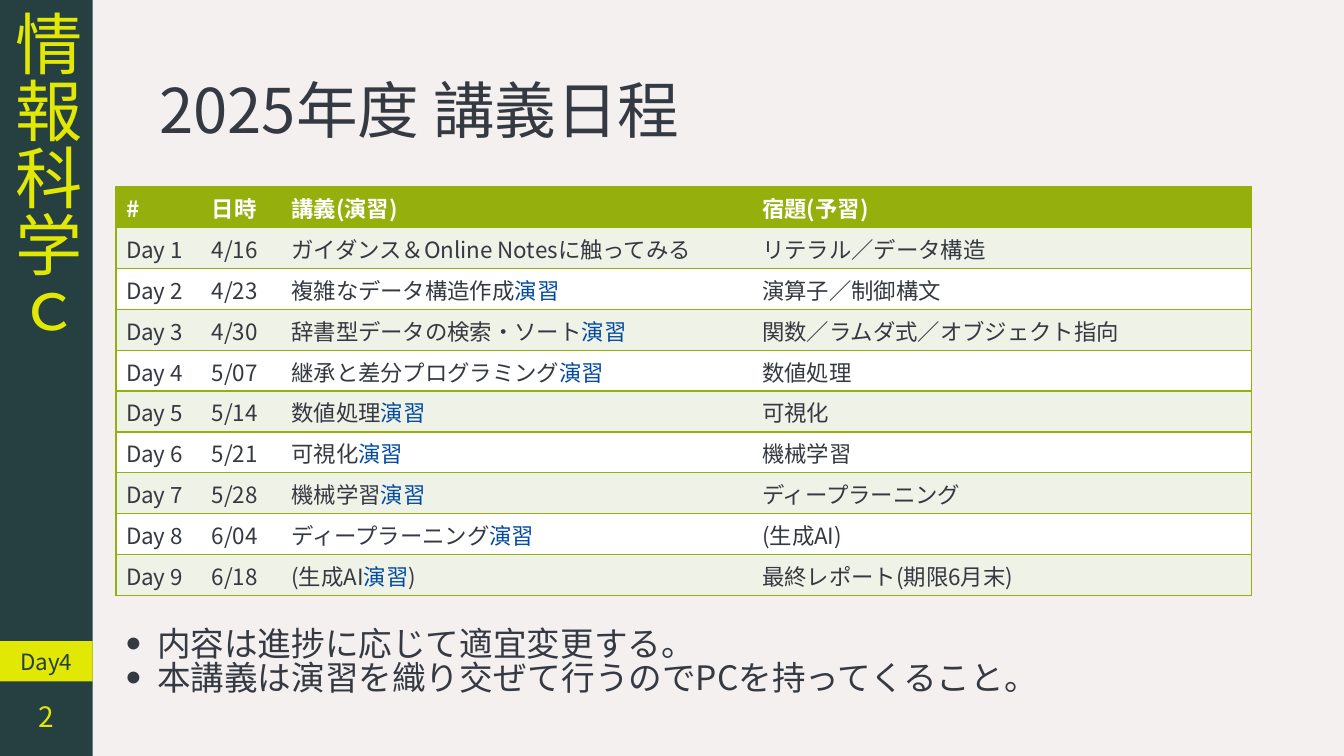
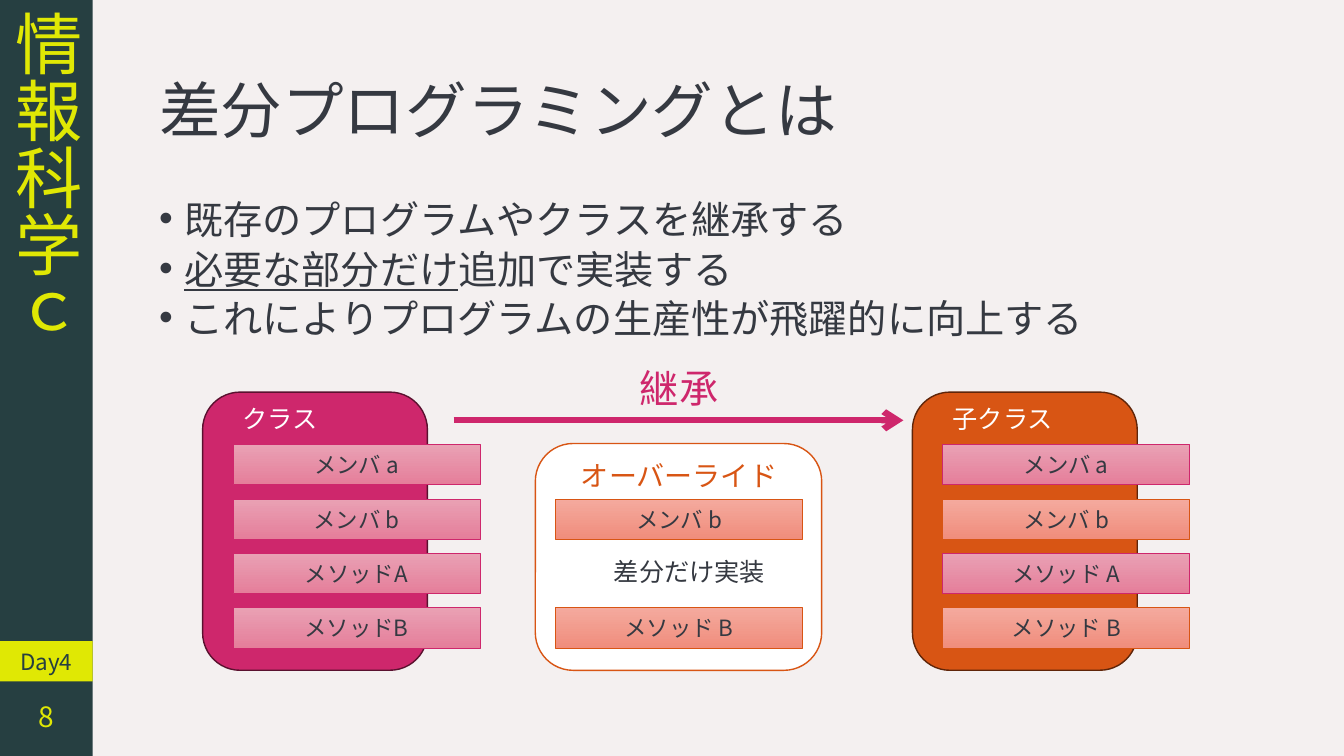
from pptx import Presentation
from pptx.dml.color import RGBColor
from pptx.enum import shapes, text
from pptx.oxml import ns, xmlchemy
from pptx.util import Inches, Pt

FONT = "Noto Sans CJK JP"
PAPER = RGBColor(0xF4, 0xF0, 0xF0)
INK = RGBColor(0x35, 0x39, 0x41)
WHITE = RGBColor(0xFF, 0xFF, 0xFF)
DEEP_GREEN = RGBColor(0x26, 0x3F, 0x41)
LIME = RGBColor(0xE0, 0xE8, 0x04)
LEAF = RGBColor(0x95, 0xB0, 0x0D)
PALE_LEAF = RGBColor(0xEF, 0xF2, 0xE7)
BLUE = RGBColor(0x03, 0x4A, 0xA1)
PINK = RGBColor(0xCE, 0x27, 0x6C)
DARK_PINK = RGBColor(0x5A, 0x11, 0x2F)
ORANGE = RGBColor(0xD8, 0x55, 0x14)
DARK_ORANGE = RGBColor(0x5F, 0x25, 0x09)
PINK_FADE = (RGBColor(0xE9, 0xA1, 0xB4), RGBColor(0xE5, 0x7E, 0x9A))
ORANGE_FADE = (RGBColor(0xF4, 0xAA, 0x9E), RGBColor(0xF0, 0x8D, 0x7C))

LEFT, CENTER = text.PP_ALIGN.LEFT, text.PP_ALIGN.CENTER
TOP, MIDDLE = text.MSO_ANCHOR.TOP, text.MSO_ANCHOR.MIDDLE
RECT, ROUND = shapes.MSO_SHAPE.RECTANGLE, shapes.MSO_SHAPE.ROUNDED_RECTANGLE
NO_STYLE = "{2D5ABB26-0587-4C30-8999-92F81FD0307C}"

COLUMN_WIDTHS = (0.85, 0.79, 4.67, 4.95)
EXERCISE = "演習"
SCHEDULE = (
    ("#", "日時", "講義(演習)", "宿題(予習)"),
    ("Day 1", "4/16", "ガイダンス＆Online Notesに触ってみる", "リテラル／データ構造"),
    ("Day 2", "4/23", "複雑なデータ構造作成演習", "演算子／制御構文"),
    ("Day 3", "4/30", "辞書型データの検索・ソート演習", "関数／ラムダ式／オブジェクト指向"),
    ("Day 4", "5/07", "継承と差分プログラミング演習", "数値処理"),
    ("Day 5", "5/14", "数値処理演習", "可視化"),
    ("Day 6", "5/21", "可視化演習", "機械学習"),
    ("Day 7", "5/28", "機械学習演習", "ディープラーニング"),
    ("Day 8", "6/04", "ディープラーニング演習", "(生成AI)"),
    ("Day 9", "6/18", "(生成AI演習)", "最終レポート(期限6月末)"),
)

MEMBER_TOP, MEMBER_PITCH = 4.41, 0.54


def format_run(run, size, color, bold=False):
    run.font.size = Pt(size)
    run.font.bold = bold
    run.font.color.rgb = color
    run.font.name = FONT
    east_asian = xmlchemy.OxmlElement("a:ea")
    east_asian.set("typeface", FONT)
    run._r.get_or_add_rPr().append(east_asian)


def write(paragraph, content, size, color, align=LEFT, spacing=None, bold=False):
    paragraph.text = content
    paragraph.alignment = align
    if spacing:
        paragraph.line_spacing = spacing
    for run in paragraph.runs:
        format_run(run, size, color, bold)


def add_label(slide, at, content, size, color, align=LEFT, anchor=TOP, spacing=0.9):
    label = slide.shapes.add_textbox(*map(Inches, at))
    label.text_frame.word_wrap = True
    label.text_frame.vertical_anchor = anchor
    write(label.text_frame.paragraphs[0], content, size, color, align, spacing)


def add_block(slide, kind, at, fill, line=None, line_width=1):
    block = slide.shapes.add_shape(kind, *map(Inches, at))
    block.shadow.inherit = False
    if isinstance(fill, RGBColor):
        block.fill.solid()
        block.fill.fore_color.rgb = fill
    else:
        block.fill.gradient()
        block.fill.gradient_angle = 270
        for stop, shade in zip(block.fill.gradient_stops, fill):
            stop.color.rgb = shade
    if line:
        block.line.color.rgb = line
        block.line.width = Pt(line_width)
    else:
        block.line.fill.background()
    return block


def write_block(block, content, size, color):
    block.text_frame.vertical_anchor = MIDDLE
    write(block.text_frame.paragraphs[0], content, size, color, CENTER)


def add_bullets(slide, at, items, size, indent, spacing, gap=0, bullet_percent=100):
    box = slide.shapes.add_textbox(*map(Inches, at))
    frame = box.text_frame
    frame.word_wrap = True
    for index, item in enumerate(items):
        paragraph = frame.add_paragraph() if index else frame.paragraphs[0]
        write(paragraph, item, size, INK, spacing=spacing)
        if index and gap:
            paragraph.space_before = Pt(gap)
        properties = paragraph._p.get_or_add_pPr()
        properties.set("marL", str(Inches(indent)))
        properties.set("indent", str(-Inches(indent)))
        for tag, key, value in (
            ("a:buSzPct", "val", str(bullet_percent * 1000)),
            ("a:buFont", "typeface", "Arial"),
            ("a:buChar", "char", "•"),
        ):
            mark = xmlchemy.OxmlElement(tag)
            mark.set(key, value)
            properties.append(mark)
    return frame


def start_slide(prs, title, number):
    slide = prs.slides.add_slide(prs.slide_layouts[6])
    sidebar = add_block(slide, RECT, (0, 0, 0.92, 7.5), DEEP_GREEN)
    write_block(sidebar, "情報科学ｃ", 48, LIME)
    sidebar.element.txBody.bodyPr.set("vert", "eaVert")
    day = add_block(slide, RECT, (0, 6.36, 0.92, 0.4), LIME)
    write_block(day, "Day4", 16, DEEP_GREEN)
    add_label(slide, (0, 6.76, 0.92, 0.74), number, 20, LIME, CENTER, MIDDLE)
    add_label(slide, (1.48, 0.4, 10.93, 1.45), title, 44, INK, anchor=MIDDLE)
    return slide


def add_border(cell, side):
    line = xmlchemy.OxmlElement(f"a:ln{side}")
    line.set("w", str(Pt(1)))
    fill = xmlchemy.OxmlElement("a:solidFill")
    color = xmlchemy.OxmlElement("a:srgbClr")
    color.set("val", str(LEAF))
    fill.append(color)
    line.append(fill)
    cell._tc.get_or_add_tcPr().append(line)


def write_lecture(paragraph, lecture):
    write(paragraph, "", 16, INK)
    for part in lecture.partition(EXERCISE):
        if part:
            run = paragraph.add_run()
            run.text = part
            format_run(run, 16, BLUE if part == EXERCISE else INK)


def add_schedule(slide):
    rows, columns = len(SCHEDULE), len(COLUMN_WIDTHS)
    frame = slide.shapes.add_table(
        rows, columns, Inches(1.15), Inches(1.85), Inches(11.26), Inches(4.06))
    table = frame.table
    table._tbl.tblPr.find(ns.qn("a:tableStyleId")).text = NO_STYLE
    for column, width in zip(table.columns, COLUMN_WIDTHS):
        column.width = Inches(width)
    for r, entries in enumerate(SCHEDULE):
        for c, entry in enumerate(entries):
            cell = table.cell(r, c)
            sides = ("L" if c == 0 else "") + ("R" if c == columns - 1 else "")
            for side in sides + "TB":
                add_border(cell, side)
            cell.fill.solid()
            cell.fill.fore_color.rgb = (
                LEAF if r == 0 else PALE_LEAF if r % 2 else WHITE)
            paragraph = cell.text_frame.paragraphs[0]
            if r == 0:
                write(paragraph, entry, 16, WHITE, bold=True)
            elif c == 2:
                write_lecture(paragraph, entry)
            else:
                write(paragraph, entry, 16, INK)


def add_member(slide, left, row, name, fade, line):
    at = (left, MEMBER_TOP + row * MEMBER_PITCH, 2.45, 0.4)
    write_block(add_block(slide, RECT, at, fade, line, 0.5), name, 16, INK)


def add_class(slide, left, name, fill, line, members):
    add_block(slide, ROUND, (left, 3.89, 2.23, 2.76), fill, line)
    add_label(slide, (left + 0.3, 3.99, 1.54, 0.4), name, 18, WHITE)
    for row, (member, overridden) in enumerate(members):
        fade, edge = (ORANGE_FADE, ORANGE) if overridden else (PINK_FADE, PINK)
        add_member(slide, left + 0.3, row, member, fade, edge)


def add_arrow(slide, start, end, color, width):
    arrow = slide.shapes.add_connector(
        shapes.MSO_CONNECTOR.STRAIGHT, *map(Inches, start + end))
    arrow.line.color.rgb = color
    arrow.line.width = Pt(width)
    head = xmlchemy.OxmlElement("a:tailEnd")
    head.set("type", "arrow")
    arrow.line._get_or_add_ln().append(head)
    arrow.element.spPr.append(xmlchemy.OxmlElement("a:effectLst"))


def build_schedule_slide(prs):
    slide = start_slide(prs, "2025年度 講義日程", "2")
    add_schedule(slide)
    notices = (
        "内容は進捗に応じて適宜変更する。",
        "本講義は演習を織り交ぜて行うのでPCを持ってくること。",
    )
    add_bullets(slide, (1.15, 6.19, 11.79, 0.91), notices, 24, 0.31, 0.85,
                bullet_percent=130)


def build_inheritance_slide(prs):
    slide = start_slide(prs, "差分プログラミングとは", "8")
    points = (
        "既存のプログラムやクラスを継承する",
        "必要な部分だけ",
        "これによりプログラムの生産性が飛躍的に向上する",
    )
    frame = add_bullets(slide, (1.48, 2, 10.93, 4.76), points, 28, 0.25, 0.75, gap=10)
    needed = frame.paragraphs[1]
    needed.runs[0].font.underline = True
    rest = needed.add_run()
    rest.text = "追加で実装する"
    format_run(rest, 28, INK)

    add_class(slide, 2.01, "クラス", PINK, DARK_PINK, (
        ("メンバ a", False), ("メンバ b", False),
        ("メソッドA", False), ("メソッドB", False)))
    add_class(slide, 9.05, "子クラス", ORANGE, DARK_ORANGE, (
        ("メンバ a", False), ("メンバ b", True),
        ("メソッド A", False), ("メソッド B", True)))

    add_arrow(slide, (4.5, 4.17), (8.96, 4.17), PINK, 4.5)
    add_label(slide, (5.56, 3.62, 2.35, 0.57), "継承", 28, PINK, CENTER)

    add_block(slide, ROUND, (5.31, 4.4, 2.84, 2.25), WHITE, ORANGE)
    add_label(slide, (5.56, 4.54, 2.35, 0.44), "オーバーライド", 20, ORANGE, CENTER)
    for row, member in ((1, "メンバ b"), (3, "メソッド B")):
        add_member(slide, 5.51, row, member, ORANGE_FADE, ORANGE)
    add_label(slide, (5.51, 5.5, 2.66, 0.4), "差分だけ実装", 18, INK, CENTER)


def main():
    prs = Presentation()
    prs.slide_width, prs.slide_height = Inches(13.33), Inches(7.5)
    backdrop = prs.slide_master.background.fill
    backdrop.solid()
    backdrop.fore_color.rgb = PAPER
    build_schedule_slide(prs)
    build_inheritance_slide(prs)
    prs.save("out.pptx")


if __name__ == "__main__":
    main()
